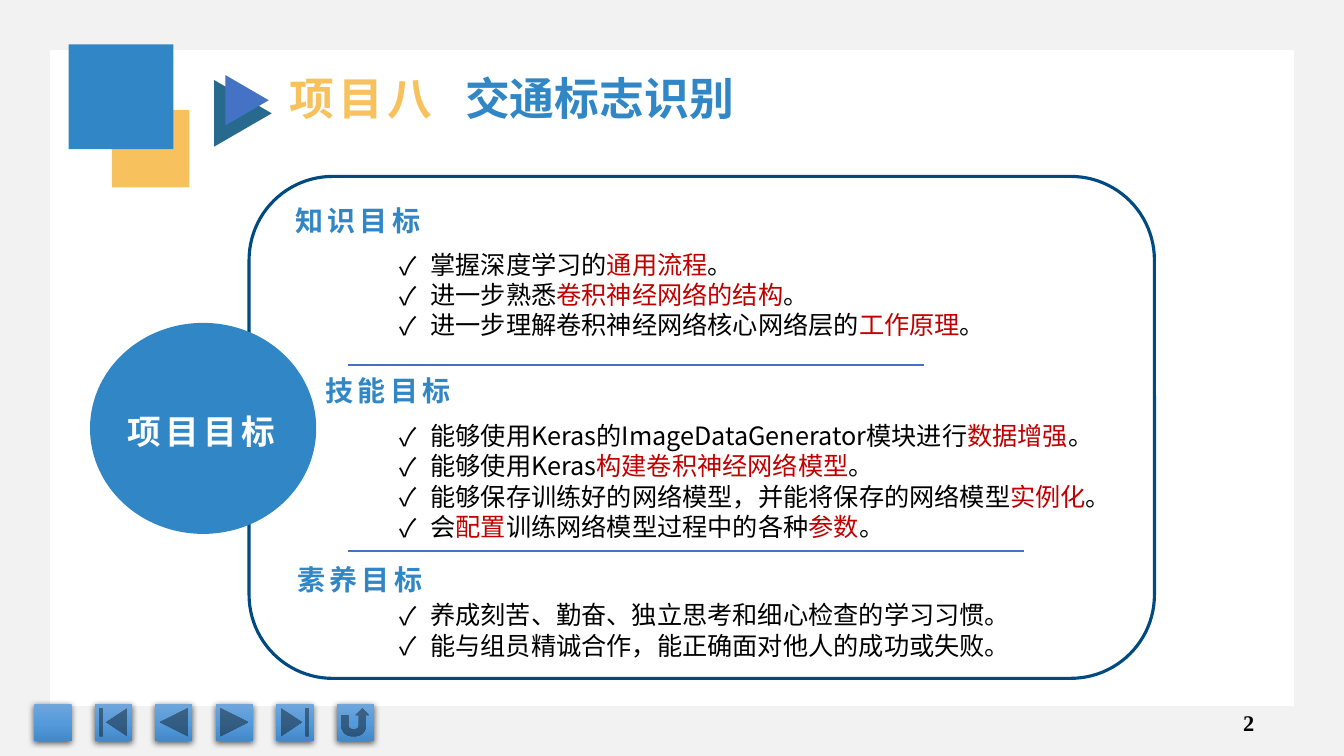
from copy import deepcopy
from dataclasses import dataclass

from lxml import etree
from pptx import Presentation
from pptx.dml.color import RGBColor
from pptx.enum.shapes import MSO_CONNECTOR, MSO_SHAPE
from pptx.enum.text import MSO_ANCHOR, MSO_AUTO_SIZE, PP_ALIGN
from pptx.oxml.ns import qn
from pptx.util import Inches, Pt

STRAIGHT = MSO_CONNECTOR.STRAIGHT
TOP, MIDDLE, BOTTOM = MSO_ANCHOR.TOP, MSO_ANCHOR.MIDDLE, MSO_ANCHOR.BOTTOM
LEFT, RIGHT, JUSTIFY = PP_ALIGN.LEFT, PP_ALIGN.RIGHT, PP_ALIGN.JUSTIFY
BUTTONS = (MSO_SHAPE.ACTION_BUTTON_CUSTOM, MSO_SHAPE.ACTION_BUTTON_BEGINNING,
           MSO_SHAPE.ACTION_BUTTON_BACK_OR_PREVIOUS,
           MSO_SHAPE.ACTION_BUTTON_FORWARD_OR_NEXT,
           MSO_SHAPE.ACTION_BUTTON_END, MSO_SHAPE.ACTION_BUTTON_RETURN)


class Theme:
    blue, gold, navy = "3187C6", "F7C15D", "004A82"
    teal, accent, border = "286A8D", "4472C4", "F2F2F2"
    black, white, red = "000000", "FFFFFF", "C00000"
    button = ("71A6DB", "559BDB", "448ACA")
    heading_font, body_font = "Roboto Condensed", "Noto Sans CJK SC"
    number_font = "Times New Roman"
    title, circle, heading, body, number = 32, 24, 20, 18, 16
    tracking, line_height = 3, 1.2


@dataclass
class Box:
    x: float
    y: float
    w: float
    h: float

    def inner(self, x, y, w, h):
        """A box placed from this box's top left corner, in inches."""
        return Box(self.x + x, self.y + y, w, h)

    def emu(self):
        return [Inches(v) for v in (self.x, self.y, self.w, self.h)]


# Each section: heading place, list top, items; stars enclose red words.
SECTIONS = (
    ("知识目标", (0.36, 0.19, 1.77, 0.46), 0.67,
     ("掌握深度学习的*通用流程*。",
      "进一步熟悉*卷积神经网络的结构*。",
      "进一步理解卷积神经网络核心网络层的*工作原理*。")),
    ("技能目标", (0.66, 1.9, 5, 0.44), 2.37,
     ("能够使用Keras的ImageDataGenerator模块进行*数据增强*。",
      "能够使用Keras*构建卷积神经网络模型*。",
      "能够保存训练好的网络模型，并能将保存的网络模型*实例化*。",
      "会*配置*训练网络模型过程中的各种*参数*。")),
    ("素养目标", (0.38, 3.77, 1.52, 0.44), 4.15,
     ("养成刻苦、勤奋、独立思考和细心检查的学习习惯。",
      "能与组员精诚合作，能正确面对他人的成功或失败。")),
)
RULES = ((1.87, 5.71), (3.72, 6.71))  # top and length


def rgb(code):
    return RGBColor.from_string(code)


def add_shape(page, kind, box, fill=None, line=None, width=1):
    shape = page.shapes.add_shape(kind, *box.emu())
    shape.shadow.inherit = False
    if fill:
        shape.fill.solid()
        shape.fill.fore_color.rgb = rgb(fill)
    else:
        shape.fill.background()
    if line:
        shape.line.color.rgb = rgb(line)
        shape.line.width = Pt(width)
    else:
        shape.line.fill.background()
    return shape


def prepare(holder, box, anchor=TOP):
    """Move a text holder to the box and return its frame."""
    holder.left, holder.top, holder.width, holder.height = box.emu()
    frame = holder.text_frame
    frame.word_wrap = True
    frame.auto_size = MSO_AUTO_SIZE.NONE
    frame.vertical_anchor = anchor
    return frame


def text_holder(page, holders, box):
    """The next free placeholder, or a text box when none is left."""
    return holders.pop(0) if holders else page.shapes.add_textbox(*box.emu())


def set_east_asian(font_xml):
    latin = font_xml.find(qn("a:latin"))
    east_asian = etree.Element(qn("a:ea"), typeface=Theme.body_font)
    latin.addnext(east_asian)


def style(para, size, color, name, bold=False, tracking=0, align=LEFT, bullet=None):
    para.alignment = align
    para.line_spacing = Pt(size * Theme.line_height)
    para.space_before = para.space_after = Pt(0)
    props = para._p.get_or_add_pPr()
    indent = Inches(0.31) if bullet else 0
    props.set("marL", str(indent))
    props.set("indent", str(-indent))
    if bullet:
        etree.SubElement(props, qn("a:buFont"), typeface=Theme.body_font)
        etree.SubElement(props, qn("a:buChar"), char=bullet)
    else:
        etree.SubElement(props, qn("a:buNone"))
    font = para.font
    font.size, font.bold, font.name = Pt(size), bold, name
    font.color.rgb = rgb(color)
    font_xml = props.find(qn("a:defRPr"))
    font_xml.set("spc", str(tracking * 100))
    set_east_asian(font_xml)


def add_span(para, text, color=None, tracking=None):
    span = para.add_run()
    span.text = text
    if color:
        span.font.color.rgb = rgb(color)
    if tracking is not None:
        span._r.get_or_add_rPr().set("spc", str(tracking * 100))


def label(holder, box, text, size, color, anchor=TOP):
    para = prepare(holder, box, anchor).paragraphs[0]
    style(para, size, color, Theme.heading_font, True, Theme.tracking)
    add_span(para, text)


def add_navigation(page, box):
    for column, kind in enumerate(BUTTONS):
        button = add_shape(page, kind, box.inner(column * 0.6, 0, box.h, box.h))
        button.fill.gradient()
        button.fill.gradient_angle = 270
        stops = button.fill.gradient_stops
        stops[0].position, stops[1].position = 0, 1
        first = button._element.spPr.find(".//" + qn("a:gs"))
        first.addnext(deepcopy(first))
        for place, (stop, color) in enumerate(zip(button.fill.gradient_stops, Theme.button)):
            stop.position = place / 2
            stop.color.rgb = rgb(color)
        effects = button._element.spPr.find(qn("a:effectLst"))
        shadow = etree.SubElement(effects, qn("a:outerShdw"), blurRad=str(Pt(4.5)),
                                  dist=str(Pt(1.5)), dir="5400000", rotWithShape="0")
        shade = etree.SubElement(shadow, qn("a:srgbClr"), val=Theme.black)
        etree.SubElement(shade, qn("a:alpha"), val="63000")


def add_page_number(page, box, number):
    para = prepare(page.shapes.add_textbox(*box.emu()), box, MIDDLE).paragraphs[0]
    style(para, Theme.number, Theme.black, Theme.number_font, True, align=RIGHT)
    add_span(para, str(number))


def add_header(page, box):
    add_shape(page, MSO_SHAPE.RECTANGLE, box.inner(0.43, 0.65, 0.77, 0.77), Theme.gold)
    add_shape(page, MSO_SHAPE.RECTANGLE, box.inner(0, 0, 1.04, 1.04), Theme.blue)
    for place, color in (((1.4, 0.4, 0.66, 0.57), Theme.teal),
                         ((1.52, 0.34, 0.5, 0.43), Theme.accent)):
        arrow = add_shape(page, MSO_SHAPE.ISOSCELES_TRIANGLE, box.inner(*place), color)
        arrow.rotation = 90
    para = prepare(page.shapes.title, box.inner(2.09, 0.21, 9.6, 0.64)).paragraphs[0]
    style(para, Theme.title, Theme.blue, Theme.heading_font, True)
    add_span(para, "项目八", Theme.gold, Theme.tracking)
    add_span(para, " ", tracking=13)
    add_span(para, "交通标志识别")


def add_section(page, panel, holders, heading, place, list_top, items):
    box = panel.inner(*place)
    label(text_holder(page, holders, box), box, heading, Theme.heading, Theme.blue, BOTTOM)
    box = panel.inner(1.39, list_top, 7.76, 0.3 * len(items) + 0.11)
    frame = prepare(text_holder(page, holders, box), box)
    for row, item in enumerate(items):
        para = frame.add_paragraph() if row else frame.paragraphs[0]
        style(para, Theme.body, Theme.black, Theme.body_font, align=JUSTIFY, bullet="✓")
        for order, words in enumerate(item.split("*")):
            add_span(para, words, Theme.red if order % 2 else None)


def add_goals(page, panel):
    add_shape(page, MSO_SHAPE.ROUNDED_RECTANGLE, panel, line=Theme.navy, width=2.25)
    circle = panel.inner(-1.57, 1.46, 2.23, 2.08)
    add_shape(page, MSO_SHAPE.OVAL, circle, Theme.blue, Theme.blue)
    box = circle.inner(0.27, 0.82, 1.72, 0.5)
    label(page.shapes.add_textbox(*box.emu()), box, "项目目标", Theme.circle, Theme.white)
    holders = [holder for holder in page.placeholders if holder.placeholder_format.idx]
    for section in SECTIONS:
        add_section(page, panel, holders, *section)
    for top, length in RULES:
        x, y, w, _ = panel.inner(0.98, top, length, 0).emu()
        rule = page.shapes.add_connector(STRAIGHT, x, y, x + w, y)
        rule.line.color.rgb = rgb(Theme.accent)
        rule.line.width = Pt(1.5)
        etree.SubElement(rule._element.spPr, qn("a:effectLst"))


def main():
    deck = Presentation()
    deck.slide_width, deck.slide_height = Inches(13.33), Inches(7.5)
    page = deck.slides.add_slide(deck.slide_layouts.get_by_name("Comparison"))
    border = add_shape(page, MSO_SHAPE.FRAME, Box(0, 0, 13.33, 7.5), Theme.border)
    border.adjustments[0] = 0.066
    add_navigation(page, Box(0.34, 6.98, 3.36, 0.37))
    add_page_number(page, Box(9.54, 6.97, 3, 0.4), 2)
    add_header(page, Box(0.68, 0.44, 11.69, 1.42))
    add_goals(page, Box(2.47, 1.75, 8.98, 4.98))
    deck.save("out.pptx")


if __name__ == "__main__":
    main()
